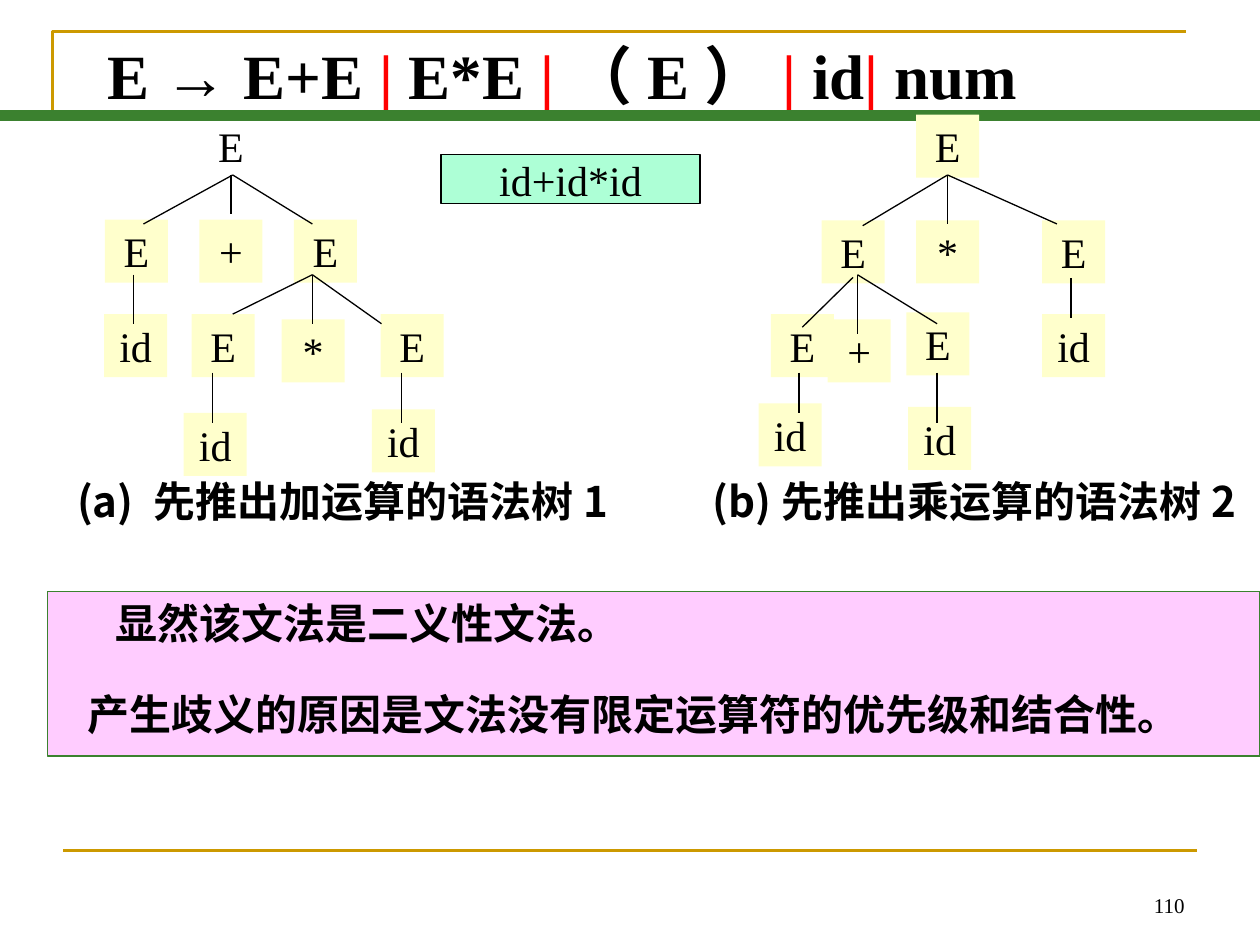
from pptx import Presentation
from pptx.dml.color import RGBColor
from pptx.enum.shapes import MSO_CONNECTOR, MSO_SHAPE
from pptx.enum.text import MSO_ANCHOR, MSO_AUTO_SIZE, PP_ALIGN
from pptx.oxml.ns import qn
from pptx.util import Pt
from lxml import etree

RECTANGLE = MSO_SHAPE.RECTANGLE
STRAIGHT = MSO_CONNECTOR.STRAIGHT
TOP, MIDDLE, BOTTOM = MSO_ANCHOR.TOP, MSO_ANCHOR.MIDDLE, MSO_ANCHOR.BOTTOM
LEFT, CENTER, RIGHT = PP_ALIGN.LEFT, PP_ALIGN.CENTER, PP_ALIGN.RIGHT
SERIF, SANS = "Times New Roman", "Noto Sans CJK SC"
COLORS = {
    "black": "000000", "red": "FF0000", "gold": "CC9900", "green": "3B812F",
    "node": "FFFFCC", "pink": "FFCCFF", "mint": "ADFFD6",
}


def write_text(shape, paragraphs, align=LEFT, anchor=TOP, size=24, name=SERIF, bold=False):
    frame = shape.text_frame
    settings = {"word_wrap": True, "auto_size": MSO_AUTO_SIZE.NONE, "vertical_anchor": anchor}
    for attribute, value in settings.items():
        setattr(frame, attribute, value)
    for index, runs in enumerate(paragraphs):
        paragraph = frame.add_paragraph() if index else frame.paragraphs[0]
        paragraph.alignment = align
        for text, color in runs:
            run = paragraph.add_run()
            run.text = text
            for attribute, value in {"size": Pt(size), "name": name, "bold": bold}.items():
                setattr(run.font, attribute, value)
            run.font.color.rgb = RGBColor.from_string(COLORS[color])
            east_asian = etree.SubElement(run.font._element, qn("a:ea"))
            east_asian.set("typeface", SANS)


def draw_line(shapes, points, color="black", width=0.75):
    line = shapes.add_connector(STRAIGHT, *[Pt(value) for value in points])
    line.line.color.rgb = RGBColor.from_string(COLORS[color])
    line.line.width = Pt(width)
    etree.SubElement(line._element.spPr, qn("a:effectLst"))


presentation = Presentation()
presentation.slide_width, presentation.slide_height = Pt(720), Pt(540)
slide = presentation.slides.add_slide(presentation.slide_layouts[5])
shapes = slide.shapes

builder = shapes.build_freeform(Pt(30), Pt(66))
builder.add_line_segments([(Pt(30), Pt(18)), (Pt(678), Pt(18))], close=False)
frame_corner = builder.convert_to_shape()
frame_corner.shadow.inherit = False
frame_corner.fill.background()
frame_corner.line.color.rgb = RGBColor.from_string(COLORS["gold"])
frame_corner.line.width = Pt(1.5)
draw_line(shapes, (36, 486, 684, 486), "gold", 1.5)

title = shapes.title
for attribute, value in {"left": 54, "top": 18, "width": 612, "height": 42}.items():
    setattr(title, attribute, Pt(value))
grammar = [
    ("E → E+E ", "black"), ("| ", "red"), ("E*E ", "black"), ("|", "red"),
    ("（E）", "black"), ("|", "red"), (" id", "black"), ("| ", "red"), ("num", "black"),
]
write_text(title, [grammar], anchor=MIDDLE, size=36, bold=True)
title.text_frame.margin_top = Pt(10)
draw_line(shapes, (0, 66, 720, 66), "green", 6)

page_number = shapes.add_textbox(Pt(516), Pt(492), Pt(168), Pt(36))
write_text(page_number, [[("110", "black")]], RIGHT, BOTTOM, size=12)

captions = [(37, 340, "(a) 先推出加运算的语法树1"), (400, 320, "(b)先推出乘运算的语法树2")]
for left, width, text in captions:
    caption = shapes.add_textbox(Pt(left), Pt(268), Pt(width), Pt(38))
    write_text(caption, [[(text, "black")]], name=SANS, bold=True)

panels = [
    ((27, 338, 693, 94), "pink", "green",
     ["显然该文法是二义性文法。", "产生歧义的原因是文法没有限定运算符的优先级和结合性。"],
     {"name": SANS, "bold": True}),
    ((252, 88.5, 148, 28), "mint", "black", ["id+id*id"], {"align": CENTER, "anchor": MIDDLE}),
]
for box, fill, outline, texts, style in panels:
    panel = shapes.add_shape(RECTANGLE, *[Pt(value) for value in box])
    panel.shadow.inherit = False
    panel.fill.solid()
    panel.fill.fore_color.rgb = RGBColor.from_string(COLORS[fill])
    panel.line.color.rgb = RGBColor.from_string(COLORS[outline])
    panel.line.width = Pt(0.75)
    write_text(panel, [[(text, "black")] for text in texts], **style)
    if len(texts) > 1:
        for paragraph, indent, gap in zip(panel.text_frame.paragraphs, (32, 16), (0, 23)):
            paragraph._p.get_or_add_pPr().set("marL", str(Pt(indent)))
            paragraph.space_before = Pt(gap)

trees = [
    {
        "nodes": [
            ("E", 114, 65.5), ("E", 168, 125.5), ("+", 114, 125.5), ("E", 60, 125.5),
            ("E", 217.5, 179.5), ("*", 161, 182.5), ("E", 109.5, 179.5), ("id", 59.5, 179.5),
            ("id", 212.5, 234), ("id", 105, 236),
        ],
        "branches": [
            (132, 100, 132, 122.5), (133, 100, 82, 128), (133, 100, 178.5, 128),
            (178.5, 157, 133, 179.5), (178.5, 157, 218, 185), (178.5, 157, 178.5, 185),
            (76.5, 157, 76.5, 185), (121.5, 213, 121.5, 242), (229.5, 213, 229.5, 242),
        ],
    },
    {
        "nodes": [
            ("E", 523.5, 65.5), ("E", 595.5, 126), ("*", 523.5, 126), ("E", 469.5, 126),
            ("E", 518, 178.5), ("E", 440.5, 179.5), ("id", 595.5, 179.5),
            ("id", 519, 232.5), ("id", 433.5, 230.5), ("+", 473, 182.5),
        ],
        "branches": [
            (541.5, 100, 493, 129), (541.5, 100, 541.5, 128), (541.5, 100, 604, 128),
            (487.5, 158.5, 458.5, 187), (490, 157, 490, 191), (490, 157, 535.5, 185),
            (612, 159, 612, 181.5), (456.5, 213, 456.5, 236), (535.5, 213, 535.5, 242),
        ],
    },
]
plain_root = trees[0]["nodes"][0]
for tree in trees:
    group = shapes.add_group_shape()
    for symbol, left, top in tree["nodes"]:
        node = group.shapes.add_shape(RECTANGLE, Pt(left), Pt(top), Pt(36), Pt(36))
        node.shadow.inherit = False
        node.line.fill.background()
        if (symbol, left, top) == plain_root:
            node.fill.background()
        else:
            node.fill.solid()
            node.fill.fore_color.rgb = RGBColor.from_string(COLORS["node"])
        write_text(node, [[(symbol, "black")]], CENTER, MIDDLE)
    for branch in tree["branches"]:
        draw_line(group.shapes, branch)

presentation.save("out.pptx")
